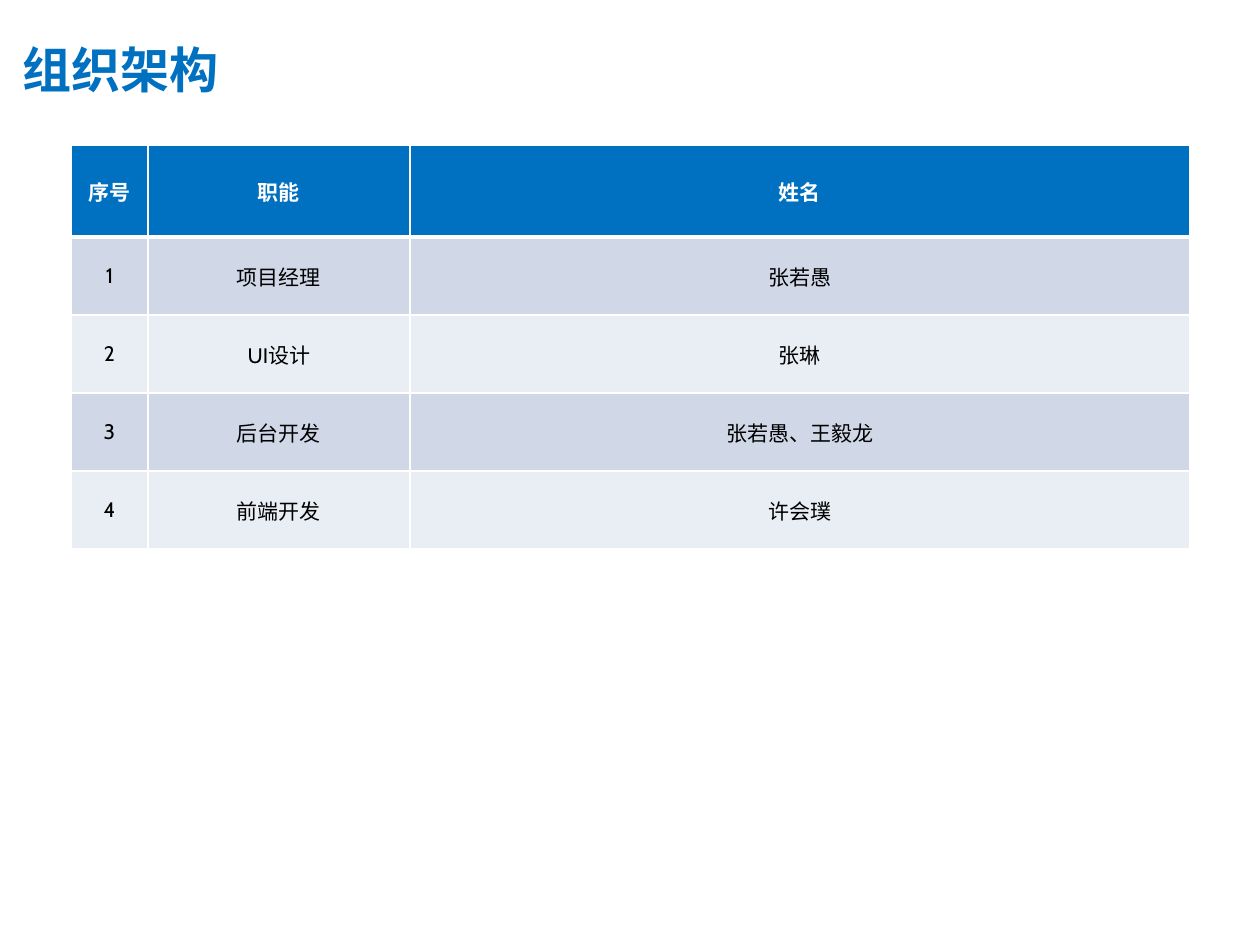
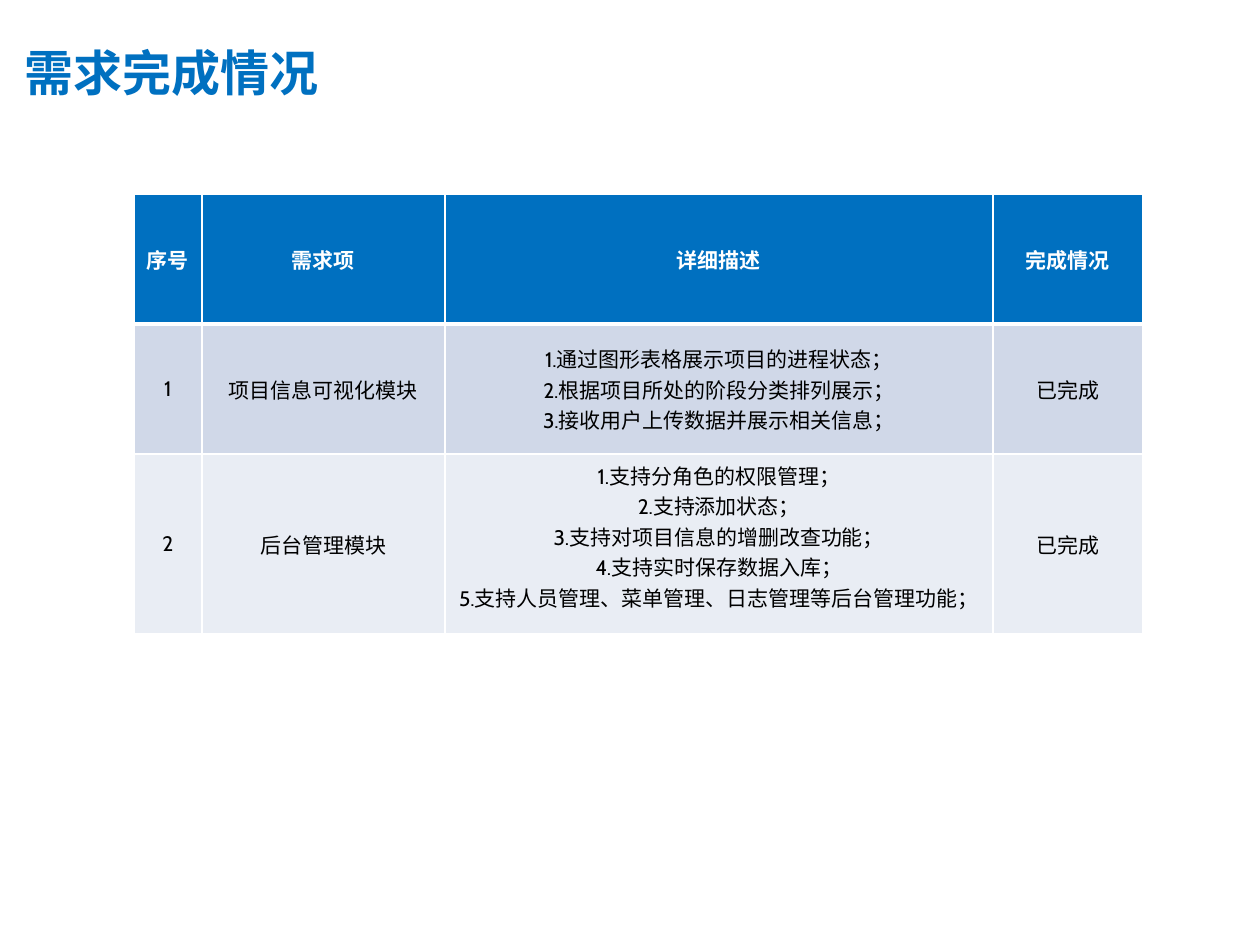
from lxml.etree import SubElement
from pptx import Presentation
from pptx.dml.color import RGBColor
from pptx.enum.text import MSO_ANCHOR, PP_ALIGN
from pptx.oxml.ns import qn
from pptx.util import Pt

EMU_PER_PX = 914400 / 126
BLUE, WHITE, BLACK = "0070C0", "FFFFFF", "000000"
BAND_FILLS = ("D0D8E8", "E9EDF4")
LATIN_FONT, CHINESE_FONT = "Cabin", "Noto Sans CJK SC"
CELL_MARGIN = 6
LINE_WIDTH, HEADER_LINE_WIDTH = 1, 3


def px(length):
    return round(length * EMU_PER_PX)


def color(value):
    return RGBColor.from_string(value)


def write_text(frame, text, size=12, fill=BLACK, bold=False,
               font=LATIN_FONT, align=PP_ALIGN.CENTER):
    frame.word_wrap = True
    for index, line in enumerate(text.split("\n")):
        paragraph = frame.add_paragraph() if index else frame.paragraphs[0]
        paragraph.alignment = align
        run = paragraph.add_run()
        run.text = line
        run.font.name = font
        run.font.size = Pt(size)
        run.font.bold = bold
        run.font.color.rgb = color(fill)
        SubElement(run.font._element, qn("a:ea"), typeface=CHINESE_FONT)


def add_title(slide, text, box, indent):
    shape = slide.shapes.add_textbox(*map(px, box))
    frame = shape.text_frame
    frame.vertical_anchor = MSO_ANCHOR.MIDDLE
    frame.margin_left = px(indent)
    write_text(frame, text, size=28, fill=BLUE, bold=True,
               font=CHINESE_FONT, align=PP_ALIGN.LEFT)


def set_borders(cell, top, bottom):
    properties = cell._tc.get_or_add_tcPr()
    widths = {"L": LINE_WIDTH, "R": LINE_WIDTH, "T": top, "B": bottom}
    for side, width in widths.items():
        line = SubElement(properties, qn(f"a:ln{side}"), w=str(Pt(width)))
        solid = SubElement(line, qn("a:solidFill"))
        SubElement(solid, qn("a:srgbClr"), val=WHITE)


def format_cell(cell, text, row):
    is_header = row == 0
    set_borders(cell,
                top=HEADER_LINE_WIDTH if row == 1 else LINE_WIDTH,
                bottom=HEADER_LINE_WIDTH if is_header else LINE_WIDTH)
    cell.fill.solid()
    cell.fill.fore_color.rgb = color(BLUE if is_header else BAND_FILLS[(row - 1) % 2])
    cell.vertical_anchor = MSO_ANCHOR.MIDDLE
    cell.margin_top = cell.margin_bottom = px(CELL_MARGIN)
    write_text(cell.text_frame, text, fill=WHITE if is_header else BLACK, bold=is_header)


def add_banded_table(slide, left, top, widths, heights, rows):
    box = (left, top, sum(widths), sum(heights))
    table = slide.shapes.add_table(len(rows), len(widths), *map(px, box)).table
    for column, width in zip(table.columns, widths):
        column.width = px(width)
    for row, height in zip(table.rows, heights):
        row.height = px(height)
    for row_index, texts in enumerate(rows):
        for column_index, text in enumerate(texts):
            format_cell(table.cell(row_index, column_index), text, row_index)
    return table


def build_organization(slide):
    add_title(slide, "组织架构", (0, 25, 970, 88), indent=23)
    members = [
        ("项目经理", "张若愚"),
        ("UI设计", "张琳"),
        ("后台开发", "张若愚、王毅龙"),
        ("前端开发", "许会璞"),
    ]
    rows = [("序号", "职能", "姓名")]
    rows += [(str(number), *member) for number, member in enumerate(members, 1)]
    add_banded_table(slide, 71, 145, (77, 262, 780), [92] + [78] * len(members), rows)


def numbered(items):
    return "\n".join(f"{number}.{item}；" for number, item in enumerate(items, 1))


def build_requirements(slide):
    add_title(slide, "需求完成情况", (0, 28, 970, 88), indent=25)
    modules = [
        ("项目信息可视化模块", (
            "通过图形表格展示项目的进程状态",
            "根据项目所处的阶段分类排列展示",
            "接收用户上传数据并展示相关信息",
        )),
        ("后台管理模块", (
            "支持分角色的权限管理",
            "支持添加状态",
            "支持对项目信息的增删改查功能",
            "支持实时保存数据入库",
            "支持人员管理、菜单管理、日志管理等后台管理功能",
        )),
    ]
    rows = [("序号", "需求项", "详细描述", "完成情况")]
    rows += [(str(number), name, numbered(details), "已完成")
             for number, (name, details) in enumerate(modules, 1)]
    table = add_banded_table(slide, 134, 194, (68, 243, 548, 150), (130, 130, 180), rows)
    table.cell(2, 2).margin_bottom = px(36)


def main():
    presentation = Presentation()
    presentation.slide_width = px(1260)
    presentation.slide_height = px(945)
    blank_layout = presentation.slide_layouts[6]
    for build in (build_organization, build_requirements):
        build(presentation.slides.add_slide(blank_layout))
    presentation.save("out.pptx")


if __name__ == "__main__":
    main()
